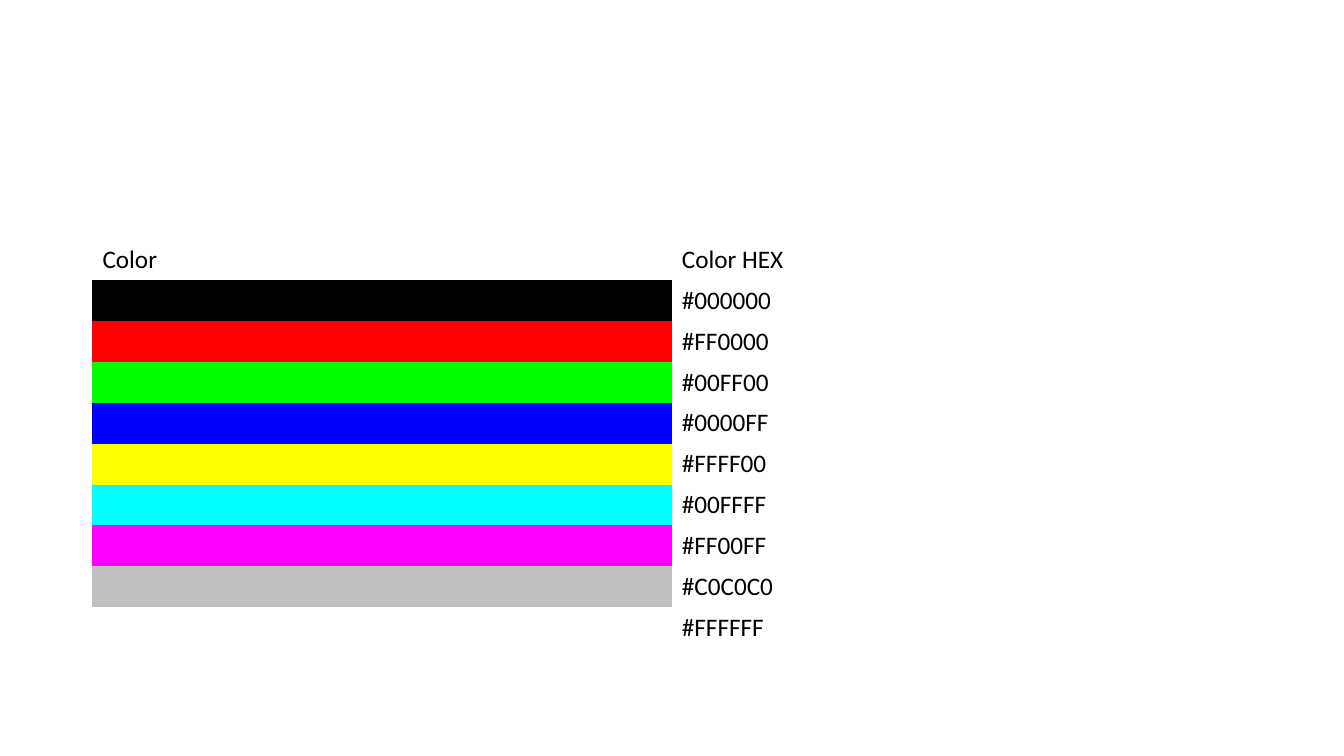
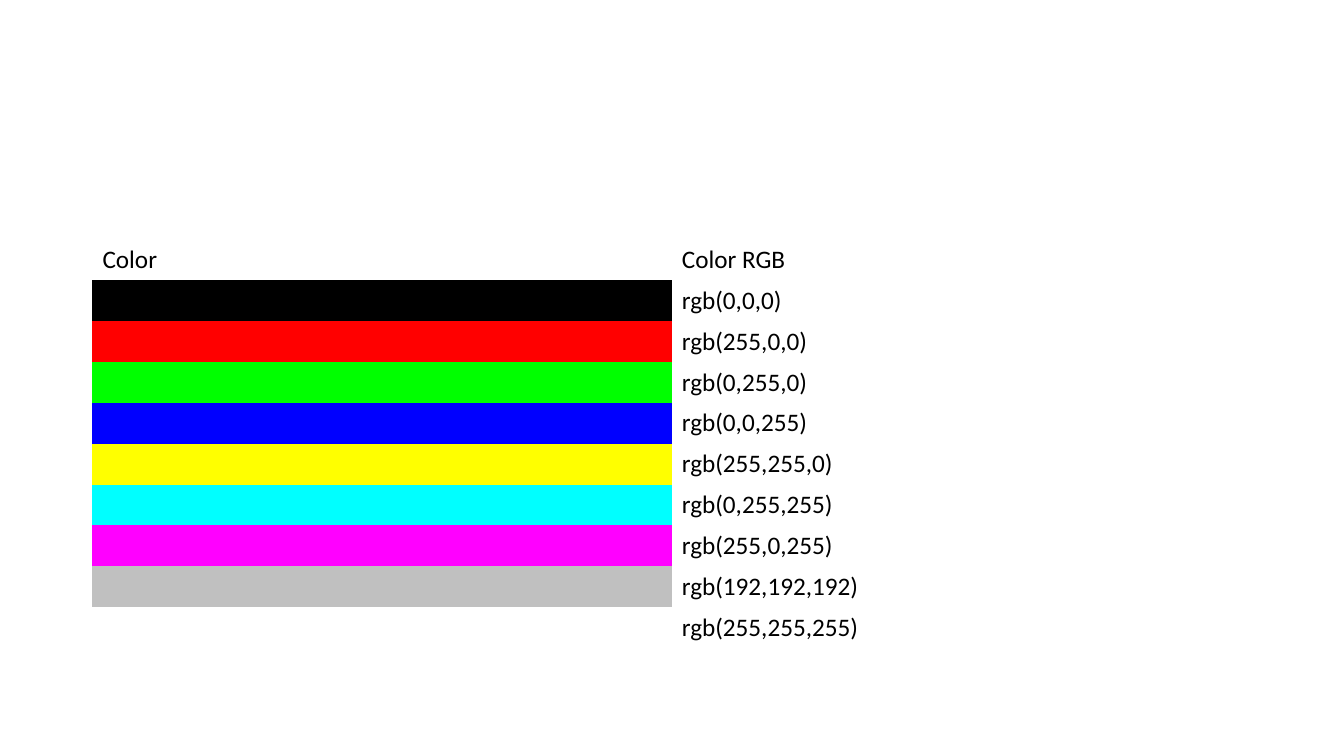
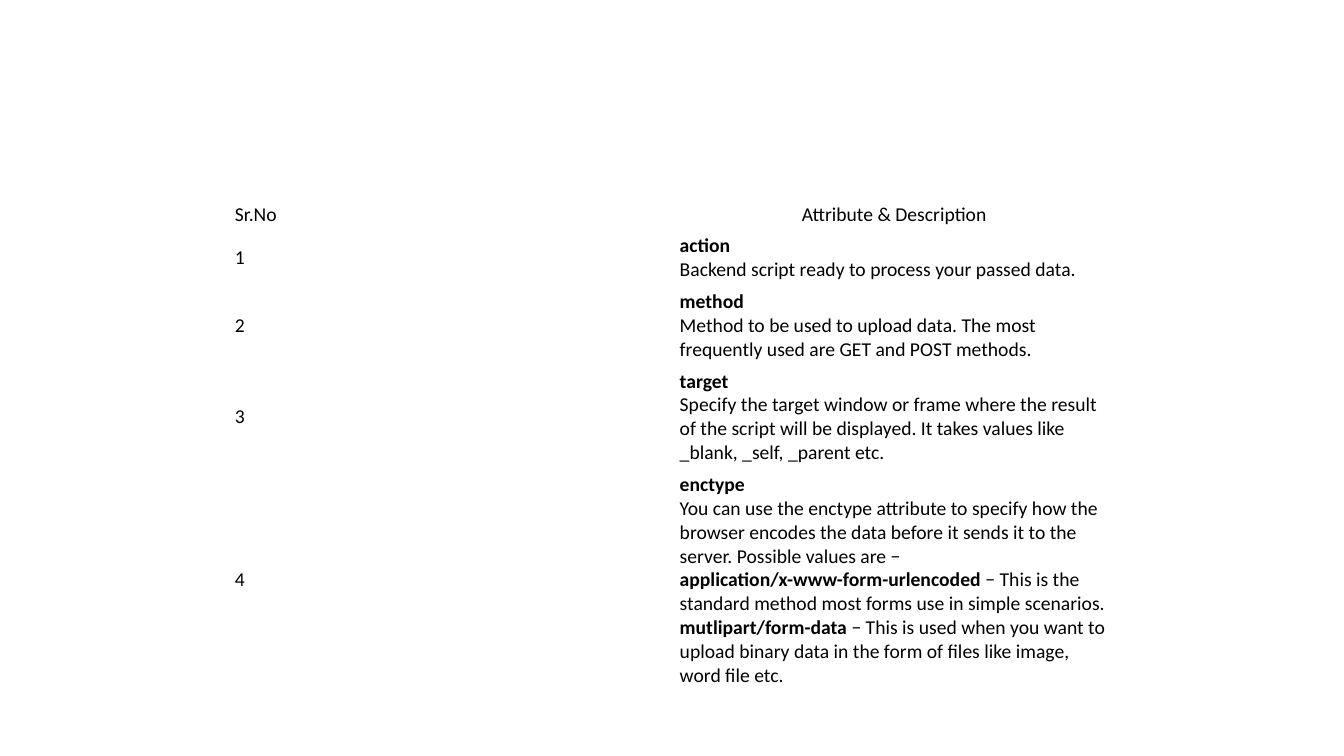
import pptx
import pptx.dml.color
import pptx.enum.text
import pptx.util
from pptx.util import Cm

COLORS = {
    "black": "000000",
    "red": "FF0000",
    "lime": "00FF00",
    "blue": "0000FF",
    "yellow": "FFFF00",
    "cyan": "00FFFF",
    "magenta": "FF00FF",
    "silver": "C0C0C0",
    "white": "FFFFFF",
}
FONT = "Calibri"
PLAIN_TABLE_STYLE = "{2D5ABB26-0587-4C30-8999-92F81FD0307C}"
LEFT = pptx.enum.text.PP_ALIGN.LEFT
CENTER = pptx.enum.text.PP_ALIGN.CENTER

# Each attribute: line count of its row, then paragraphs of (text, bold) runs.
ATTRIBUTES = [
    (2, [[("action", True)],
         [("Backend script ready to process your passed data.", False)]]),
    (3, [[("method", True)],
         [("Method to be used to upload data. The most frequently used are "
           "GET and POST methods.", False)]]),
    (4, [[("target", True)],
         [("Specify the target window or frame where the result of the script "
           "will be displayed. It takes values like _blank, _self, _parent etc.",
           False)]]),
    (9, [[("enctype", True)],
         [("You can use the enctype attribute to specify how the browser "
           "encodes the data before it sends it to the server. "
           "Possible values are \u2212", False)],
         [("application/x-www-form-urlencoded", True),
          (" \u2212 This is the standard method most forms use in simple "
           "scenarios.", False)],
         [("mutlipart/form-data", True),
          (" \u2212 This is used when you want to upload binary data in the "
           "form of files like image, word file etc.", False)]]),
]


def rgb(name):
    """Return the named colour as an RGBColor."""
    return pptx.dml.color.RGBColor.from_string(COLORS[name])


def add_slide(presentation):
    """Add a slide with the blank layout."""
    return presentation.slides.add_slide(presentation.slide_layouts[6])


def add_plain_table(slide, left, top, column_width, row_heights):
    """Add a two-column table without borders, bands or fills."""
    shape = slide.shapes.add_table(
        len(row_heights), 2, left, top, 2 * column_width, sum(row_heights))
    table = shape.table
    table.first_row = False
    table.horz_banding = False
    shape._element.xpath(".//a:tableStyleId")[0].text = PLAIN_TABLE_STYLE
    for column in table.columns:
        column.width = column_width
    for row, height in zip(table.rows, row_heights):
        row.height = height
    for cell in table.iter_cells():
        cell.fill.background()
        cell.vertical_anchor = pptx.enum.text.MSO_ANCHOR.MIDDLE
    return table


def write_cell(cell, paragraphs, size, alignment=LEFT):
    """Write paragraphs of (text, bold) runs into a cell."""
    frame = cell.text_frame
    for index, runs in enumerate(paragraphs):
        paragraph = frame.add_paragraph() if index else frame.paragraphs[0]
        paragraph.alignment = alignment
        for text, bold in runs:
            run = paragraph.add_run()
            run.text = text
            run.font.name = FONT
            run.font.size = pptx.util.Pt(size)
            run.font.bold = bold
            run.font.color.rgb = rgb("black")


def hex_code(name):
    """Return a colour in hexadecimal notation."""
    return f"#{COLORS[name]}"


def rgb_code(name):
    """Return a colour in rgb() notation."""
    return "rgb({},{},{})".format(*rgb(name))


def add_color_slide(presentation, notation, color_code):
    """Add a table of colour swatches with their codes."""
    table = add_plain_table(add_slide(presentation), Cm(2.33), Cm(6.03),
                            Cm(14.6), [Cm(1.03)] * (len(COLORS) + 1))
    write_cell(table.cell(0, 0), [[("Color", False)]], 18)
    write_cell(table.cell(0, 1), [[(notation, False)]], 18)
    for row, name in enumerate(COLORS, start=1):
        swatch = table.cell(row, 0)
        swatch.fill.solid()
        swatch.fill.fore_color.rgb = rgb(name)
        write_cell(table.cell(row, 1), [[(color_code(name), False)]], 18)


def add_attribute_slide(presentation):
    """Add the table of form attributes."""
    line_counts = [1] + [lines for lines, _ in ATTRIBUTES]
    row_heights = [Cm(0.19) + lines * Cm(0.6) for lines in line_counts]
    table = add_plain_table(add_slide(presentation), Cm(5.72), Cm(5),
                            Cm(11.21), row_heights)
    for cell in table.iter_cells():
        cell.margin_left = cell.margin_right = Cm(0.2)
        cell.margin_top = cell.margin_bottom = Cm(0.1)
    write_cell(table.cell(0, 0), [[("Sr.No", False)]], 14)
    write_cell(table.cell(0, 1), [[("Attribute & Description", False)]], 14, CENTER)
    for row, (_, description) in enumerate(ATTRIBUTES, start=1):
        write_cell(table.cell(row, 0), [[(str(row), False)]], 14)
        write_cell(table.cell(row, 1), description, 14)


def main():
    """Build and save the presentation."""
    presentation = pptx.Presentation()
    presentation.slide_width = Cm(33.87)
    presentation.slide_height = Cm(19.05)
    add_color_slide(presentation, "Color HEX", hex_code)
    add_color_slide(presentation, "Color RGB", rgb_code)
    add_attribute_slide(presentation)
    presentation.save("out.pptx")


main()
